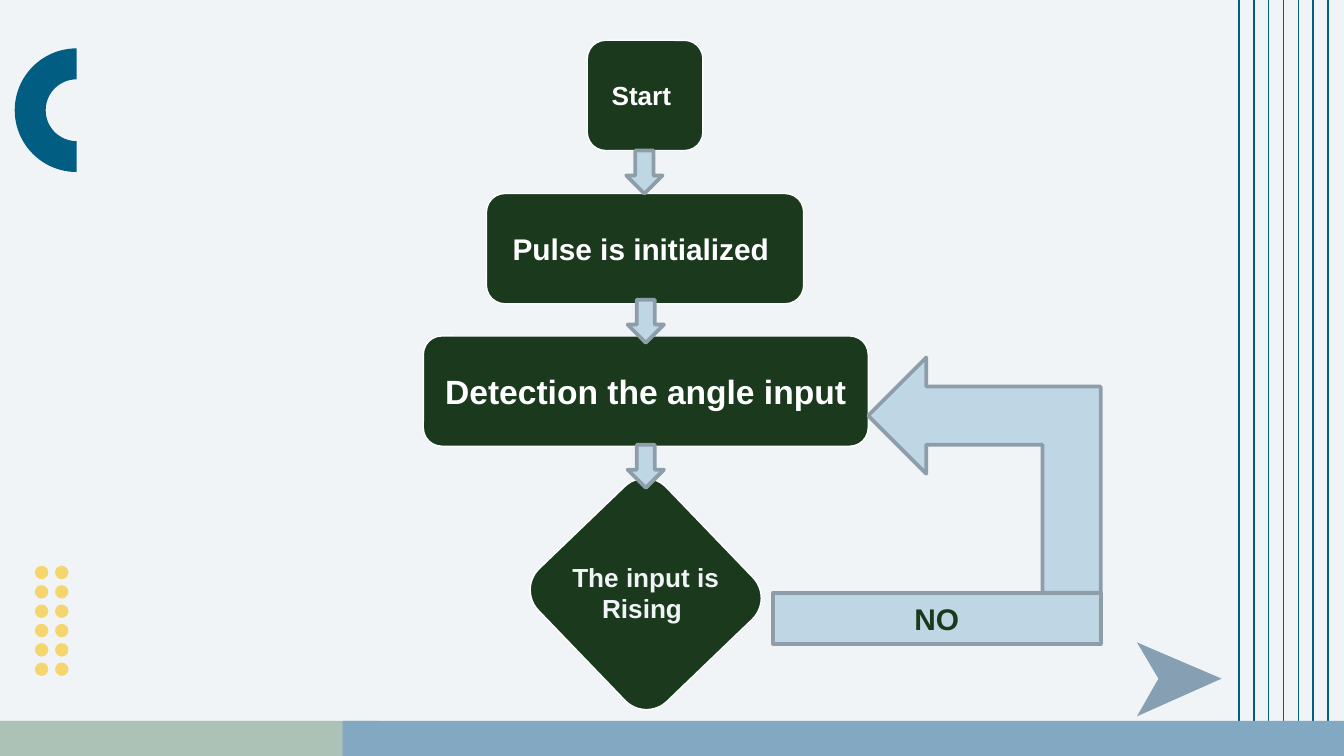
from dataclasses import dataclass
from typing import Optional

import pptx
import pptx.dml.color
import pptx.enum.shapes
import pptx.enum.text
import pptx.util
from lxml import etree

Inches = pptx.util.Inches
Pt = pptx.util.Pt
RGBColor = pptx.dml.color.RGBColor
Kind = pptx.enum.shapes.MSO_SHAPE

BACKGROUND = RGBColor(0xF0, 0xF4, 0xF7)
TEAL = RGBColor(0x02, 0x5D, 0x82)
SAGE = RGBColor(0xAC, 0xC2, 0xB6)
BLUE = RGBColor(0x83, 0xA8, 0xC2)
YELLOW = RGBColor(0xF5, 0xD6, 0x6E)
GREEN = RGBColor(0x1B, 0x39, 0x1D)
WHITE = RGBColor(0xFF, 0xFF, 0xFF)
PALE_BLUE = RGBColor(0xBF, 0xD6, 0xE4)
GREY = RGBColor(0x8D, 0x9E, 0xA9)
SLATE = RGBColor(0x86, 0x9F, 0xB2)

# Widescreen, 16:9
SLIDE_W = 10
SLIDE_H = SLIDE_W * 9 / 16


@dataclass(frozen=True)
class Box:
    left: float
    top: float
    width: float
    height: float

    def lengths(self) -> tuple:
        return tuple(Inches(v) for v in (self.left, self.top, self.width, self.height))


@dataclass(frozen=True)
class Step:
    text: str
    box: Box
    size: int


def paint(shape, fill: RGBColor, line: Optional[RGBColor] = None, width: float = 0.75):
    shape.shadow.inherit = False
    shape.fill.solid()
    shape.fill.fore_color.rgb = fill
    if line is None:
        shape.line.fill.background()
    else:
        shape.line.color.rgb = line
        shape.line.width = Pt(width)


def add_block(slide, kind, box: Box, fill: RGBColor, line: Optional[RGBColor] = None,
              width: float = 0.75, rotation: float = 0, adjustments: tuple = ()):
    block = slide.shapes.add_shape(kind, *box.lengths())
    paint(block, fill, line, width)
    block.rotation = rotation
    for i, value in enumerate(adjustments):
        block.adjustments[i] = value
    return block


def write(shape, text: str, *, size: int, color: RGBColor, inset: Optional[float] = None):
    frame = shape.text_frame
    frame.word_wrap = True
    frame.vertical_anchor = pptx.enum.text.MSO_ANCHOR.MIDDLE
    if inset is not None:
        frame.margin_left = frame.margin_right = Inches(inset)
        frame.margin_top = frame.margin_bottom = Inches(inset)
    paragraph = frame.paragraphs[0]
    paragraph.alignment = pptx.enum.text.PP_ALIGN.CENTER
    run = paragraph.add_run()
    run.text = text
    run.font.name = "Arial"
    run.font.size = Pt(size)
    run.font.bold = True
    run.font.color.rgb = color


def add_stripe(slide, x: float):
    stripe = slide.shapes.add_connector(
        pptx.enum.shapes.MSO_CONNECTOR.STRAIGHT,
        Inches(x), 0, Inches(x), Inches(SLIDE_H))
    stripe.line.color.rgb = TEAL
    stripe.line.width = Pt(0.75)
    etree.SubElement(
        stripe._element.spPr,
        "{http://schemas.openxmlformats.org/drawingml/2006/main}effectLst")


def add_decoration(slide):
    # Vertical stripes on the right
    for i in range(7):
        add_stripe(slide, 9.22 + 0.11 * i)

    # Bottom band
    add_block(slide, Kind.RECTANGLE, Box(1.27, 4.08, 0.26, 2.83), SAGE, rotation=90)
    add_block(slide, Kind.RECTANGLE, Box(2.55, SLIDE_H - 0.26, 7.45, 0.26), BLUE)

    # Dot grid
    row_step = (4.93 - 4.21) / 5
    for row in range(6):
        for column in range(2):
            dot = Box(0.26 + 0.15 * column, 4.21 + row_step * row, 0.1, 0.1)
            add_block(slide, Kind.OVAL, dot, YELLOW)

    # Half ring
    add_block(slide, Kind.BLOCK_ARC, Box(0.11, 0.36, 0.92, 0.92), TEAL,
              rotation=270, adjustments=(108, 0, 0.25))


def add_flow(slide):
    # Steps
    steps = [
        Step("Start ", Box(4.37, 0.3, 0.86, 0.82), 14),
        Step("Pulse is initialized ", Box(3.62, 1.44, 2.36, 0.82), 16),
        Step("Detection the angle input ", Box(3.15, 2.5, 3.31, 0.82), 18),
    ]
    for step in steps:
        block = add_block(slide, Kind.ROUNDED_RECTANGLE, step.box, GREEN, WHITE,
                          adjustments=(0.167,))
        write(block, step.text, size=step.size, color=WHITE, inset=0.1)

    # Decision
    add_block(slide, Kind.ROUNDED_RECTANGLE, Box(4.12, 3.76, 1.37, 1.32), GREEN, WHITE,
              rotation=46.1, adjustments=(0.167,))
    question = slide.shapes.add_textbox(*Box(3.98, 3.9, 1.65, 1.02).lengths())
    write(question, "The input is Rising ", size=14, color=BACKGROUND)

    # Way back for "NO"
    add_block(slide, Kind.BENT_UP_ARROW, Box(6.45, 2.67, 1.75, 1.73), PALE_BLUE, GREY, 2,
              rotation=270)
    answer = add_block(slide, Kind.RECTANGLE, Box(5.75, 4.41, 2.44, 0.38), PALE_BLUE, GREY, 2)
    write(answer, "NO", size=16, color=GREEN)

    # Arrows between the steps
    for left, top in ((4.66, 1.12), (4.67, 2.23), (4.67, 3.31)):
        add_block(slide, Kind.DOWN_ARROW, Box(left, top, 0.27, 0.32), PALE_BLUE, GREY, 2)


def add_pointer(slide):
    outline = slide.shapes.build_freeform(Inches(8.46), Inches(4.78))
    corners = [(8.62, 5.05), (8.46, 5.33), (9.09, 5.05)]
    outline.add_line_segments([(Inches(x), Inches(y)) for x, y in corners], close=True)
    paint(outline.convert_to_shape(), SLATE)


def main():
    deck = pptx.Presentation()
    deck.slide_width, deck.slide_height = Inches(SLIDE_W), Inches(SLIDE_H)
    slide = deck.slides.add_slide(deck.slide_layouts[6])
    slide.background.fill.solid()
    slide.background.fill.fore_color.rgb = BACKGROUND
    add_decoration(slide)
    add_flow(slide)
    add_pointer(slide)
    deck.save("out.pptx")


if __name__ == "__main__":
    main()
